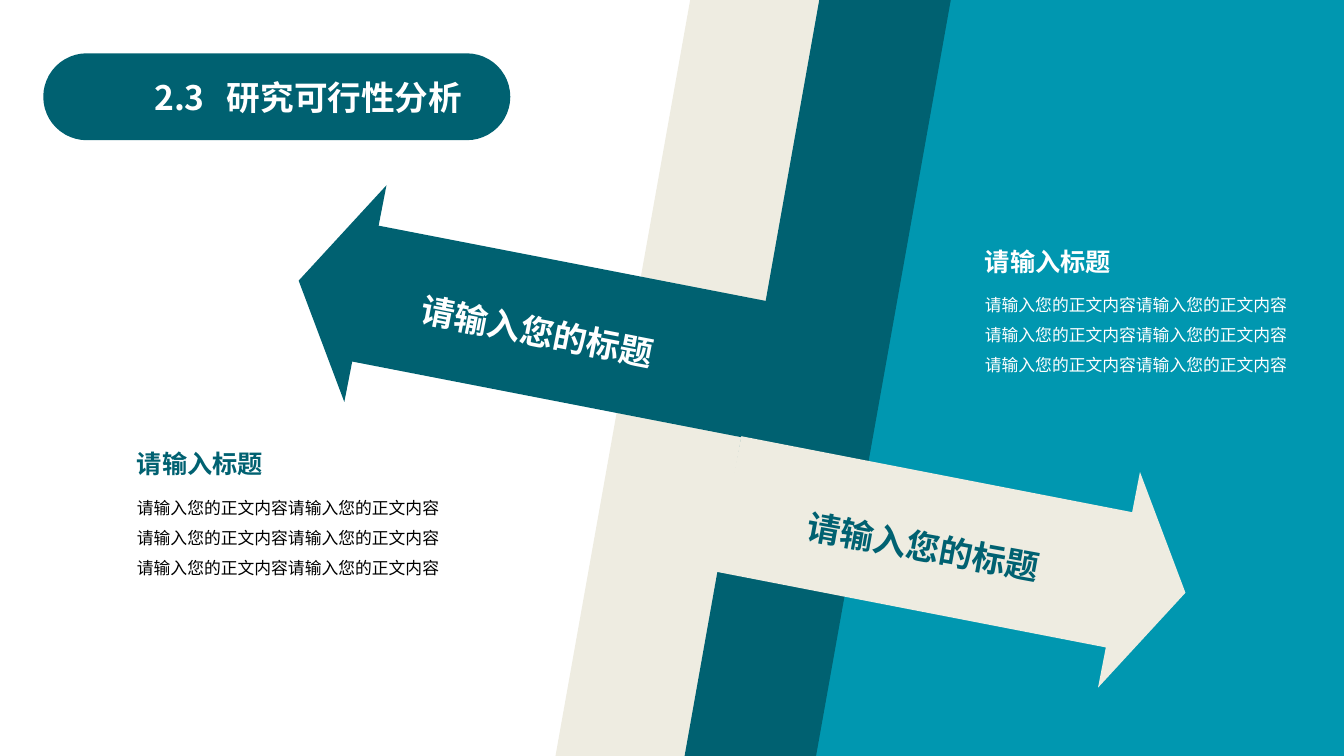
import lxml.etree
import pptx
import pptx.dml.color
import pptx.enum.shapes
import pptx.enum.text
import pptx.oxml.ns
import pptx.util

Inches = pptx.util.Inches
SHAPE = pptx.enum.shapes.MSO_SHAPE
AUTO = pptx.enum.text.MSO_AUTO_SIZE
qn = pptx.oxml.ns.qn

FONT = "Noto Sans CJK SC"
DARK, BLUE, CREAM, WHITE, BLACK = "006171", "0097B0", "EEECE1", "FFFFFF", "000000"
W, H = 13.33, 7.5
LABEL = "请输入您的标题"
HEADING = "请输入标题"
BODY = ["请输入您的正文内容请输入您的正文内容"] * 3


def rgb(color):
    """Turn a hex string into a colour."""
    return pptx.dml.color.RGBColor.from_string(color)


def paint(sp, color):
    """Give a shape a flat fill without outline or shadow."""
    sp.shadow.inherit = False
    sp.fill.solid()
    sp.fill.fore_color.rgb = rgb(color)
    sp.line.fill.background()


def add_block(s, kind, box, color, adjustments=(), rotation=0):
    """Draw a flat preset shape in the given box."""
    sp = s.shapes.add_shape(kind, *map(Inches, box))
    paint(sp, color)
    for i, value in enumerate(adjustments):
        sp.adjustments[i] = value
    sp.rotation = rotation
    return sp


def style(p, size, color, bold=True):
    """Set the font of a whole paragraph."""
    p.alignment = pptx.enum.text.PP_ALIGN.LEFT
    p.font.size = pptx.util.Pt(size)
    p.font.bold = bold
    p.font.color.rgb = rgb(color)
    p.font.name = FONT
    defaults = p._p.pPr.find(qn("a:defRPr"))
    lxml.etree.SubElement(defaults, qn("a:ea"), typeface=FONT)


def add_text(s, box, lines):
    """Place a wrapping text box with (text, size, colour, bold, space after) lines."""
    sp = s.shapes.add_textbox(*map(Inches, box))
    tf = sp.text_frame
    tf.word_wrap = True
    tf.auto_size = AUTO.SHAPE_TO_FIT_TEXT
    for i, (text, size, color, bold, after) in enumerate(lines):
        p = tf.paragraphs[0] if i == 0 else tf.add_paragraph()
        p.text = text
        p.line_spacing = 1.5
        p.space_after = pptx.util.Pt(after)
        style(p, size, color, bold)
    return sp


def add_panel(s, left, top, width, height):
    """Draw the right-hand panel with its slanted left edge."""
    right, bottom = left + width, top + height
    corners = [(left + width / 5, top), (right, top), (right, bottom), (left, bottom)]
    points = [(Inches(x), Inches(y)) for x, y in corners]
    fb = s.shapes.build_freeform(*points[0])
    fb.add_line_segments(points[1:])
    paint(fb.convert_to_shape(), BLUE)


def add_background(s, left, top, width, height):
    """Draw the two slanted bands and the panel between them."""
    add_block(s, SHAPE.PARALLELOGRAM, (left, top, 2.64, height), CREAM, [0.506])
    add_panel(s, left + 1.32, top, width - 1.32, height)
    add_block(s, SHAPE.PARALLELOGRAM, (left + 1.28, top, 2.64, height), DARK, [0.506])


def add_arrow(s, kind, box, label_box, label_rotation, color, text_color):
    """Draw a tilted arrow with its label."""
    add_block(s, kind, box, color, [0.627, 0.308], 11)
    sp = add_text(s, label_box, [(LABEL, 24, text_color, True, 6)])
    paint(sp, color)
    sp.rotation = label_rotation


def add_note(s, box, heading_color, body_color):
    """Write a heading with its body lines."""
    lines = [(HEADING, 18, heading_color, True, 6)]
    lines += [(text, 12, body_color, False, 0) for text in BODY]
    add_text(s, box, lines)


def add_title(s, left, top, width, height):
    """Draw the title pill and set the title on it."""
    pill = add_block(s, SHAPE.ROUNDED_RECTANGLE, (left, top, width, height), DARK, [0.5])
    pill.line.color.rgb = rgb(DARK)
    pill.line.width = pptx.util.Pt(3)
    sp = s.shapes.title
    sp.element.getparent().append(sp.element)
    sp.left, sp.top = Inches(left + 0.98), Inches(top + 0.16)
    sp.width, sp.height = Inches(3.42), Inches(0.5)
    tf = sp.text_frame
    tf.text = "2.3\t研究可行性分析"
    tf.word_wrap = False
    tf.auto_size = AUTO.NONE
    tf.vertical_anchor = pptx.enum.text.MSO_ANCHOR.MIDDLE
    p = tf.paragraphs[0]
    tabs = lxml.etree.SubElement(p._p.get_or_add_pPr(), qn("a:tabLst"))
    lxml.etree.SubElement(tabs, qn("a:tab"), pos=str(Inches(0.72)), algn="l")
    style(p, 24, WHITE)


def main():
    """Build and save the slide."""
    prs = pptx.Presentation()
    prs.slide_width, prs.slide_height = Inches(W), Inches(H)
    s = prs.slides.add_slide(prs.slide_layouts[5])
    add_background(s, 5.51, 0, W - 5.51, H)
    add_arrow(s, SHAPE.LEFT_ARROW, (2.92, 2.13, 4.62, 2.19),
              (4.08, 2.95, 3.71, 0.64), 11, DARK, WHITE)
    add_arrow(s, SHAPE.RIGHT_ARROW, (7.18, 4.35, 4.62, 2.18),
              (7.91, 5.04, 3.27, 0.64), 10.3, CREAM, DARK)
    add_title(s, 0.45, 0.55, 4.59, 0.82)
    add_note(s, (1.26, 4.25, 3.7, 1.55), DARK, BLACK)
    add_note(s, (9.67, 2.24, 3.67, 1.55), WHITE, WHITE)
    prs.save("out.pptx")


if __name__ == "__main__":
    main()
